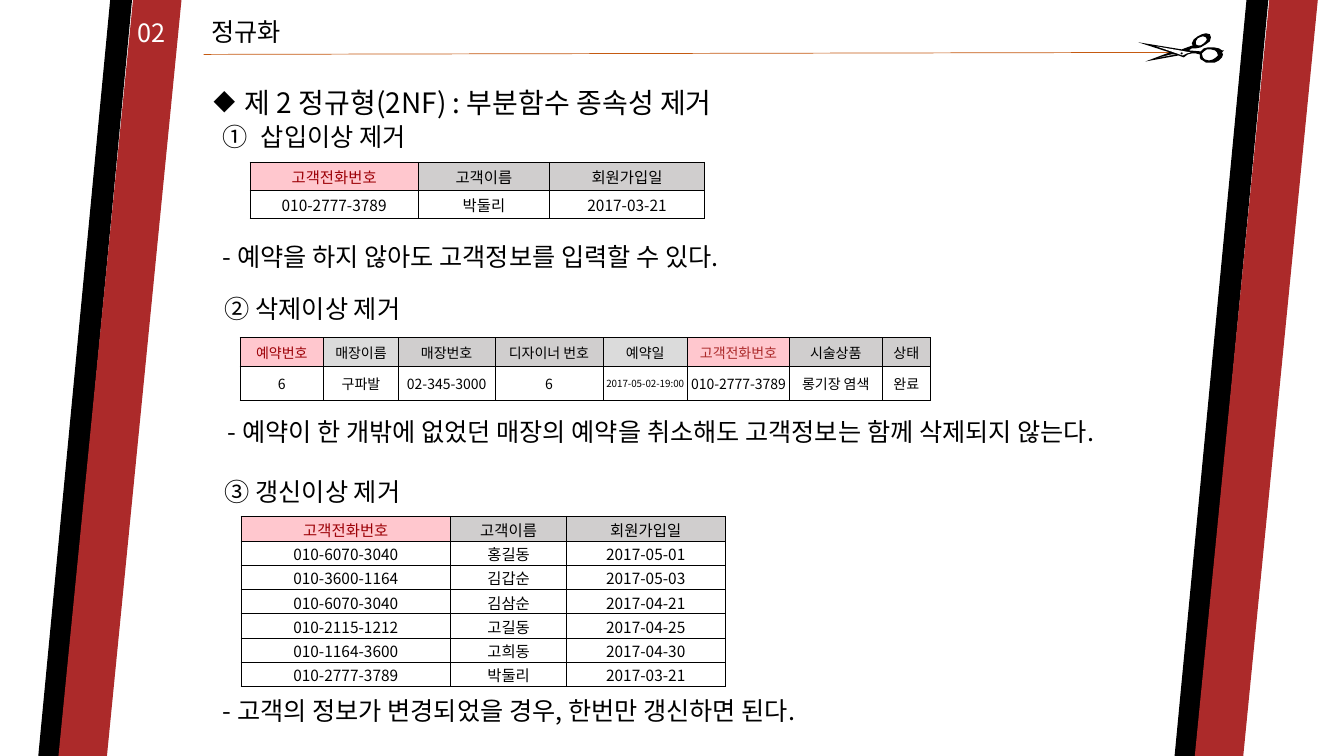
from lxml import etree
from pptx import Presentation, util as u
from pptx.dml.color import RGBColor
from pptx.enum import shapes, text
from pptx.oxml.ns import qn

PX = 9144
FONT = "Noto Sans CJK KR"
BLACK, WHITE, RED = "000000", "FFFFFF", "AC2A2A"
PINK, DARK_RED, GREY, LIGHT_GREY = "FFC7CE", "9C0006", "D0CECE", "DBDBDB"

SCISSORS = [
    [(1214, 50), (1212, 52), (1213, 54), (1212, 57), (1209, 60), (1205, 62),
     (1196, 62), (1193, 60), (1191, 59), (1190, 57), (1190, 54), (1186, 53),
     (1182, 53), (1178, 54), (1174, 57), (1169, 55), (1136, 61), (1160, 52),
     (1129, 42), (1172, 49), (1183, 45), (1182, 43), (1184, 39), (1188, 36),
     (1192, 34), (1196, 33), (1200, 34), (1201, 37), (1200, 41), (1196, 44),
     (1191, 47), (1186, 48), (1182, 48), (1179, 50), (1191, 51), (1194, 48),
     (1198, 47), (1204, 47), (1209, 48), (1212, 50)],
    [(1193, 57), (1195, 59), (1199, 60), (1203, 59), (1206, 57), (1208, 55),
     (1207, 52), (1205, 50), (1201, 49), (1197, 49), (1194, 51), (1192, 53)],
    [(1188, 38), (1186, 41), (1186, 44), (1188, 45), (1191, 45), (1194, 43),
     (1196, 41), (1197, 39), (1196, 37), (1193, 36), (1190, 37)],
]
UPPER_BLADE = [(1173, 55), (1147, 46), (1181, 52), (1177, 53)]
LOWER_BLADE = [(1166, 54), (1162, 54), (1150, 57)]

MEMBER_HEAD = [("고객전화번호", PINK, DARK_RED), ("고객이름", GREY, BLACK),
               ("회원가입일", GREY, BLACK)]
BOOKING_HEAD = [("예약번호", PINK, DARK_RED), ("매장이름", LIGHT_GREY, BLACK),
                ("매장번호", GREY, BLACK), ("디자이너 번호", GREY, BLACK),
                ("예약일", LIGHT_GREY, BLACK), ("고객전화번호", PINK, RED),
                ("시술상품", GREY, BLACK), ("상태", GREY, BLACK)]
DULI = ["010-2777-3789", "박둘리", "2017-03-21"]
BOOKING = ["6", "구파발", "02-345-3000", "6", "2017-05-02-19:00",
           "010-2777-3789", "롱기장 염색", "완료"]
MEMBERS = [
    ["010-6070-3040", "홍길동", "2017-05-01"],
    ["010-3600-1164", "김갑순", "2017-05-03"],
    ["010-6070-3040", "김삼순", "2017-04-21"],
    ["010-2115-1212", "고길동", "2017-04-25"],
    ["010-1164-3600", "고희동", "2017-04-30"],
    DULI,
]


def px(*values):
    return [u.Emu(v * PX) for v in values]


def rgb(value):
    return RGBColor.from_string(value)


def paint(sp, color):
    sp.shadow.inherit = False
    sp.fill.solid()
    sp.fill.fore_color.rgb = rgb(color)
    sp.line.fill.background()


def add_preset(s, kind, box, color, adj=None):
    sp = s.shapes.add_shape(kind, *px(*box))
    if adj is not None:
        sp.adjustments[0] = adj
    paint(sp, color)


def add_outline(s, contours, color):
    fb = s.shapes.build_freeform(*contours[0][0], scale=PX)
    fb.add_line_segments(contours[0][1:], close=True)
    for contour in contours[1:]:
        fb.move_to(*contour[0])
        fb.add_line_segments(contour[1:], close=True)
    paint(fb.convert_to_shape(), color)


def add_rule(s, ends, color):
    cx = s.shapes.add_connector(shapes.MSO_CONNECTOR.STRAIGHT, *px(*ends))
    cx.line.color.rgb = rgb(color)
    cx.line.width = u.Pt(0.5)
    etree.SubElement(cx._element.spPr, qn("a:effectLst"))


def add_run(p, words, size, color):
    r = p.add_run()
    r.text = words
    r.font.size = u.Pt(size)
    r.font.name = FONT
    r.font.color.rgb = rgb(color)
    etree.SubElement(r._r.get_or_add_rPr(), qn("a:ea")).set("typeface", FONT)


def add_bullet(p, indent, tag, attr, value):
    pPr = p._p.get_or_add_pPr()
    pPr.set("marL", str(indent * PX))
    pPr.set("indent", str(-indent * PX))
    etree.SubElement(pPr, qn(tag)).set(attr, value)


def add_text(s, box, words, size=18, color=BLACK, wrap=True, bullet=None):
    tf = s.shapes.add_textbox(*px(*box)).text_frame
    tf.word_wrap = wrap
    tf.auto_size = text.MSO_AUTO_SIZE.SHAPE_TO_FIT_TEXT
    p = tf.paragraphs[0]
    if bullet:
        add_bullet(p, *bullet)
    add_run(p, words, size, color)


def add_borders(cell):
    tcPr = cell._tc.get_or_add_tcPr()
    for side in ("lnL", "lnR", "lnT", "lnB"):
        ln = etree.SubElement(tcPr, qn("a:" + side), w=str(u.Pt(0.5)))
        fill = etree.SubElement(ln, qn("a:solidFill"))
        etree.SubElement(fill, qn("a:srgbClr"), val=BLACK)


def fill_cell(cell, words, fill, color, size):
    add_borders(cell)
    if fill:
        cell.fill.solid()
        cell.fill.fore_color.rgb = rgb(fill)
    else:
        cell.fill.background()
    cell.margin_left, cell.margin_right, cell.margin_top, cell.margin_bottom = px(1, 1, 1, 0)
    cell.vertical_anchor = text.MSO_ANCHOR.MIDDLE
    p = cell.text_frame.paragraphs[0]
    p.alignment = text.PP_ALIGN.CENTER
    add_run(p, words, size, color)


def add_grid(s, left, top, widths, heights, head, body, size):
    box = px(left, top, sum(widths), sum(heights))
    table = s.shapes.add_table(len(heights), len(widths), *box).table
    table.first_row = table.horz_banding = False
    for column, width in zip(table.columns, px(*widths)):
        column.width = width
    for row, height in zip(table.rows, px(*heights)):
        row.height = height
    rows = [head] + [[(words, None, BLACK) for words in line] for line in body]
    for i, line in enumerate(rows):
        for j, (words, fill, color) in enumerate(line):
            cell_size = 7 if len(words) > 13 else size
            fill_cell(table.cell(i, j), words, fill, color, cell_size)


def add_side_bands(s, left):
    band = shapes.MSO_SHAPE.PARALLELOGRAM
    add_preset(s, band, (left, 0, 93, 750), BLACK, 0.767)
    add_preset(s, band, (left + 20, 0, 122, 750), RED, 0.606)


def add_scissors(s):
    add_outline(s, SCISSORS, BLACK)
    add_outline(s, [UPPER_BLADE], WHITE)
    add_preset(s, shapes.MSO_SHAPE.OVAL, (1171, 52, 2, 2), BLACK)
    add_outline(s, [LOWER_BLADE], WHITE)


def main():
    prs = Presentation()
    prs.slide_width, prs.slide_height = px(1333, 750)
    s = prs.slides.add_slide(prs.slide_layouts[6])

    add_side_bands(s, 38)
    add_rule(s, (202, 54, 1169, 52), "C55A11")
    add_text(s, (200, 11, 96, 40), "정규화", wrap=False)
    add_text(s, (127, 12, 50, 40), "02", color=WHITE, wrap=False)
    add_side_bands(s, 1165)
    add_scissors(s)

    add_text(s, (202, 80, 599, 44), "제 2 정규형(2NF) : 부분함수 종속성 제거", size=20,
             bullet=(31, "a:buChar", "char", "◆"))
    add_text(s, (211, 115, 220, 40), "삽입이상 제거",
             bullet=(38, "a:buAutoNum", "type", "circleNumDbPlain"))
    add_text(s, (213, 286, 220, 40), "② 삭제이상 제거")
    add_text(s, (213, 468, 220, 40), "③ 갱신이상 제거")
    add_text(s, (211, 234, 920, 40), "- 예약을 하지 않아도 고객정보를 입력할 수 있다.")
    add_text(s, (216, 408, 929, 71),
             "- 예약이 한 개밖에 없었던 매장의 예약을 취소해도 고객정보는 함께 삭제되지 않는다.")
    add_text(s, (211, 685, 929, 40), "- 고객의 정보가 변경되었을 경우, 한번만 갱신하면 된다.")

    add_grid(s, 238, 335, [83, 74, 96, 107, 84, 101, 92, 48], [28, 34],
             BOOKING_HEAD, [BOOKING], 10)
    add_grid(s, 248, 161, [167, 130, 154], [28, 28], MEMBER_HEAD, [DULI], 11)
    add_grid(s, 239, 512, [208, 115, 157], [25] + [24] * 6, MEMBER_HEAD, MEMBERS, 11)

    prs.save("out.pptx")


if __name__ == "__main__":
    main()
